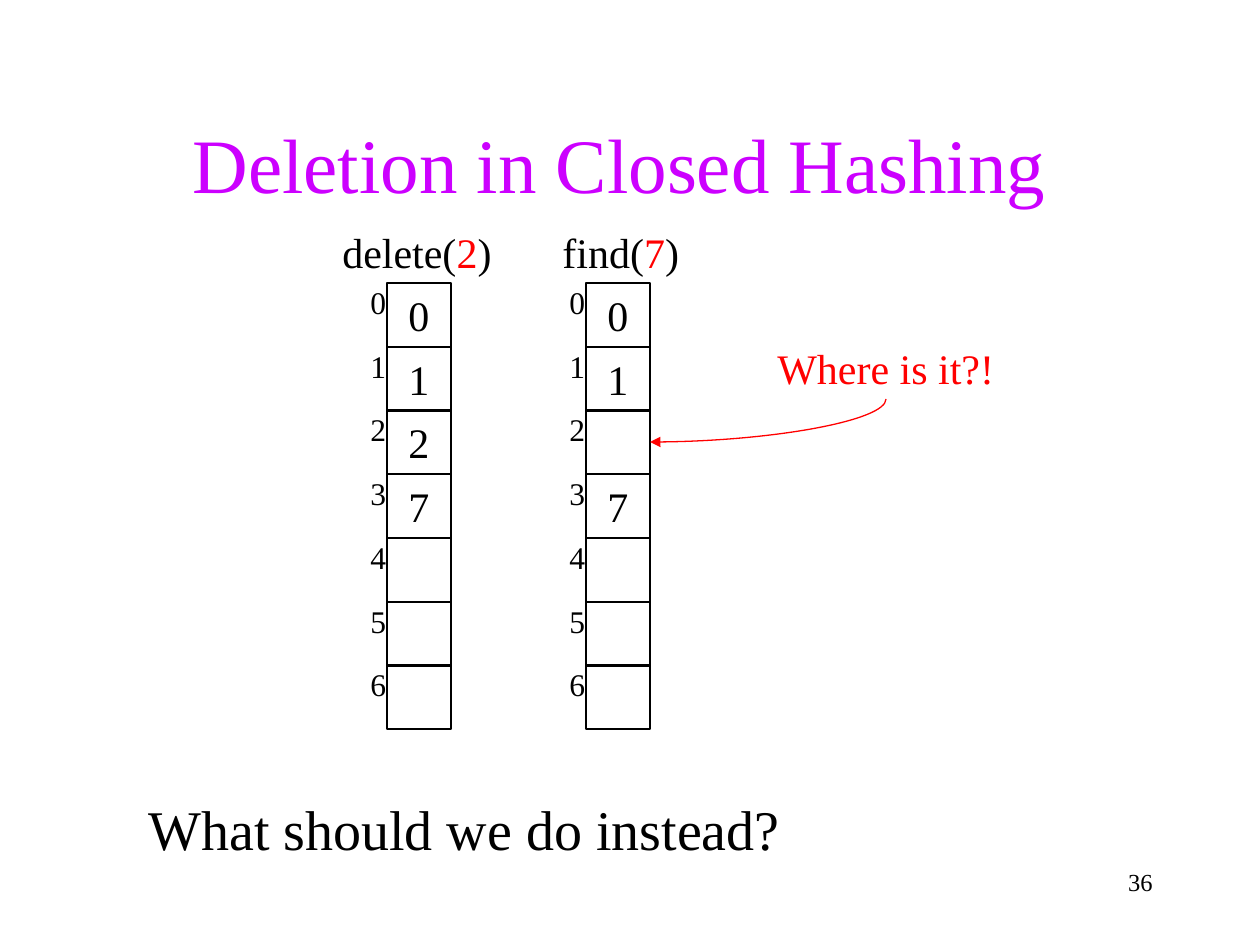
from lxml import etree
from pptx import Presentation, util as u
from pptx.dml.color import RGBColor
from pptx.enum import shapes, text
from pptx.oxml import ns

BLACK = RGBColor(0, 0, 0)
RED = RGBColor(255, 0, 0)
PURPLE = RGBColor(204, 0, 255)
FONT = "Times New Roman"
PX = u.Inches(1) / 126

TITLE = [("Deletion in Closed Hashing ", PURPLE)]
QUESTION = [("What should we do instead?", BLACK)]
REMARK = [("Where is it?!", RED)]
PAGE = [("36", BLACK)]
HASH_TABLES = [
    {"call": ("delete(", "2", ")"), "call_box": (330, 174), "left": 387,
     "slots": ["0", "1", "2", "7", "", "", ""]},
    {"call": ("find(", "7", ")"), "call_box": (550, 142), "left": 586,
     "slots": ["0", "1", "", "7", "", "", ""]},
]
TABLE_TOP, TABLE_HEIGHT, CELL = 283, 446, 64
LABEL_DX, LABEL_DY, LABEL_W, LABEL_H = -29, -6, 40, 50
CALL_TOP, CALL_H = 220, 63

LEFT, CENTER, RIGHT = text.PP_ALIGN.LEFT, text.PP_ALIGN.CENTER, text.PP_ALIGN.RIGHT
TOP, MIDDLE = text.MSO_ANCHOR.TOP, text.MSO_ANCHOR.MIDDLE


def px(*lengths):
    return [u.Emu(round(length * PX)) for length in lengths]


def write(shape, pieces, size, align=LEFT, anchor=TOP, wrap=False):
    frame = shape.text_frame
    frame.word_wrap = wrap
    frame.vertical_anchor = anchor
    paragraph = frame.paragraphs[0]
    paragraph.alignment = align
    for wording, color in pieces:
        run = paragraph.add_run()
        run.text = wording
        run.font.name = FONT
        run.font.size = u.Pt(size)
        run.font.color.rgb = color


def add_text(parent, box, *args, **kwargs):
    write(parent.add_textbox(*px(*box)), *args, **kwargs)


def add_hash_table(parent, table):
    group = parent.add_group_shape().shapes
    slots = table["slots"]
    for index, value in enumerate(slots):
        top = TABLE_TOP + round(index * TABLE_HEIGHT / len(slots))
        cell = group.add_shape(shapes.MSO_SHAPE.RECTANGLE,
                               *px(table["left"], top, CELL, CELL))
        cell.shadow.inherit = False
        cell.fill.background()
        cell.line.color.rgb = BLACK
        cell.line.width = u.Pt(0.75)
        if value:
            write(cell, [(value, BLACK)], 24, CENTER, MIDDLE)
        add_text(group, (table["left"] + LABEL_DX, top + LABEL_DY, LABEL_W, LABEL_H),
                 [(str(index), BLACK)], 18, CENTER)
    left, width = table["call_box"]
    add_text(group, (left, CALL_TOP, width, CALL_H),
             list(zip(table["call"], (BLACK, RED, BLACK))), 24)


def add_curved_arrow(parent, start, end):
    across, down = start[0] - end[0], end[1] - start[1]
    middle_x, middle_y = (start[0] + end[0]) / 2, (start[1] + end[1]) / 2
    arrow = parent.add_connector(
        shapes.MSO_CONNECTOR.CURVE,
        *px(middle_x - down / 2, middle_y - across / 2,
            middle_x + down / 2, middle_y + across / 2))
    arrow.line.color.rgb = RED
    arrow.line.width = u.Pt(0.75)
    properties = arrow._element.spPr
    properties.find(ns.qn("a:xfrm")).set("rot", str(90 * 60000))
    properties.find(ns.qn("a:prstGeom")).set("prst", "curvedConnector2")
    etree.SubElement(properties.find(ns.qn("a:ln")), ns.qn("a:tailEnd"), type="triangle")
    etree.SubElement(properties, ns.qn("a:effectLst"))


def main():
    deck = Presentation()
    deck.slide_width, deck.slide_height = px(1260, 945)
    canvas = deck.slides.add_slide(deck.slide_layouts[6]).shapes
    add_text(canvas, (903, 861, 262, 63), PAGE, 14, RIGHT, wrap=True)
    for table in HASH_TABLES:
        add_hash_table(canvas, table)
    add_text(canvas, (765, 336, 242, 63), REMARK, 24)
    add_curved_arrow(canvas, (886, 399), (650, 442))
    add_text(canvas, (94, 84, 1071, 158), TITLE, 44, CENTER, MIDDLE, wrap=True)
    add_text(canvas, (136, 788, 809, 116), QUESTION, 32, wrap=True)
    deck.save("out.pptx")


if __name__ == "__main__":
    main()
